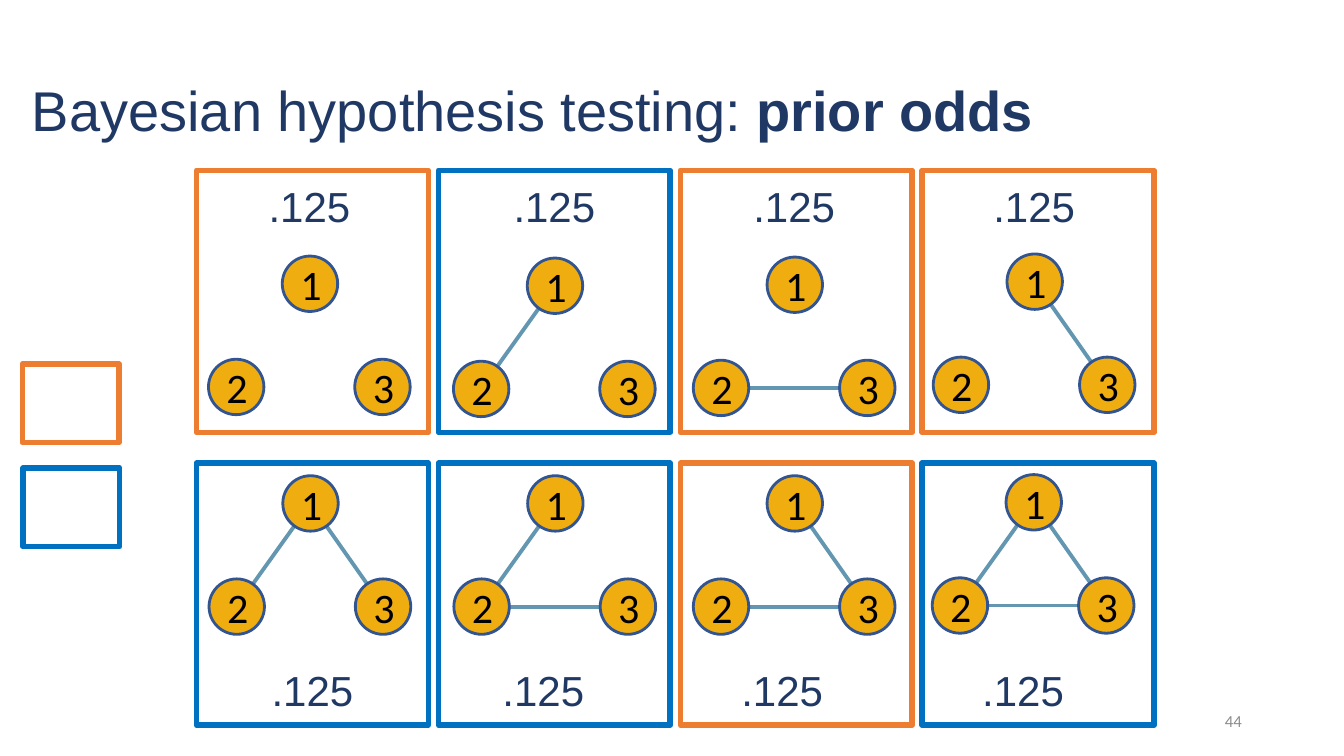
"""Build the slide that shows prior odds over the eight three-node networks."""
from dataclasses import dataclass

from lxml import etree
from pptx import Presentation
from pptx.dml.color import RGBColor
from pptx.enum.shapes import MSO_CONNECTOR, MSO_SHAPE
from pptx.enum.text import MSO_ANCHOR, PP_ALIGN
from pptx.oxml.ns import qn
from pptx.util import Pt

RECT, OVAL = MSO_SHAPE.RECTANGLE, MSO_SHAPE.OVAL
STRAIGHT = MSO_CONNECTOR.STRAIGHT
TOP, MIDDLE = MSO_ANCHOR.TOP, MSO_ANCHOR.MIDDLE
LEFT, CENTER, RIGHT = PP_ALIGN.LEFT, PP_ALIGN.CENTER, PP_ALIGN.RIGHT


@dataclass(frozen=True)
class Theme:
    """Colours, fonts and type sizes."""
    navy: str = "203864"
    orange: str = "ED7D31"
    blue: str = "0070C0"
    node: str = "F0AD0F"
    node_line: str = "325491"
    edge: str = "6397B1"
    black: str = "000000"
    grey: str = "8C8C8C"
    heading_font: str = "Arial"
    body_font: str = "Calibri"
    title: int = 40
    value: int = 30
    number: int = 12


THEME = Theme()
NODE_SIZE = 39.6
NODE_OFFSETS = {1: (0, 0), 2: (-52.7, 73.7), 3: (51.8, 73.7)}
PANEL_LEFT, PANEL_STEP = 140.4, 172.8
PANEL_SIZE = (165.6, 187.2)
LEGEND_SIZE = (69.1, 56.2)
ROWS = [
    (121.7, 125.3, [
        (THEME.orange, (201.6, 182.9), 184.3, []),
        (THEME.blue, (376.6, 184.3), 359.3, [(1, 2)]),
        (THEME.orange, (547.9, 183.6), 530.6, [(2, 3)]),
        (THEME.orange, (719.3, 181.4), 702, [(1, 3)]),
    ]),
    (330.8, 470.9, [
        (THEME.blue, (202, 339.8), 186.5, [(1, 2), (1, 3)]),
        (THEME.blue, (376.9, 339.8), 351.4, [(1, 2), (2, 3)]),
        (THEME.orange, (547.9, 339.8), 522, [(1, 3), (2, 3)]),
        (THEME.blue, (718.6, 339), 694.1, [(1, 2), (1, 3), (2, 3)]),
    ]),
]


def rgb(color):
    """Turn a hex string into a colour."""
    return RGBColor.from_string(color)


def style(p, size, font, color, align):
    """Format a paragraph and all its runs."""
    p.alignment = align
    for r in p.runs:
        r.font.size = Pt(size)
        r.font.name = font
        r.font.color.rgb = rgb(color)


def add_text(s, box, text, size, font, color, align, anchor=MIDDLE, wrap=True):
    """Add a text box and return its paragraph."""
    tf = s.shapes.add_textbox(*map(Pt, box)).text_frame
    tf.word_wrap = wrap
    tf.vertical_anchor = anchor
    tf.text = text
    p = tf.paragraphs[0]
    style(p, size, font, color, align)
    return p


def add_frame(s, left, top, size, color):
    """Add an unfilled outlined rectangle."""
    sp = s.shapes.add_shape(RECT, Pt(left), Pt(top), *map(Pt, size))
    sp.shadow.inherit = False
    sp.fill.background()
    sp.line.color.rgb = rgb(color)
    sp.line.width = Pt(4)


def add_node(s, left, top, number):
    """Add a numbered network node."""
    sp = s.shapes.add_shape(OVAL, Pt(left), Pt(top), Pt(NODE_SIZE), Pt(NODE_SIZE))
    sp.shadow.inherit = False
    sp.fill.solid()
    sp.fill.fore_color.rgb = rgb(THEME.node)
    sp.line.color.rgb = rgb(THEME.node_line)
    sp.line.width = Pt(2)
    tf = sp.text_frame
    tf.vertical_anchor = MIDDLE
    tf.text = str(number)
    style(tf.paragraphs[0], THEME.value, THEME.body_font, THEME.black, CENTER)


def add_edge(s, start, end):
    """Add a line between the centres of two nodes."""
    ends = [Pt(v + NODE_SIZE / 2) for v in (*start, *end)]
    line = s.shapes.add_connector(STRAIGHT, *ends)
    line.line.color.rgb = rgb(THEME.edge)
    line.line.width = Pt(2.75)
    etree.SubElement(line._element.spPr, qn("a:effectLst"))


def add_network(s, origin, edges):
    """Add three nodes, with the edges behind them."""
    places = {n: (origin[0] + dx, origin[1] + dy)
              for n, (dx, dy) in NODE_OFFSETS.items()}
    for a, b in edges:
        add_edge(s, places[a], places[b])
    for number, (left, top) in places.items():
        add_node(s, left, top, number)


def add_title(s):
    """Add the heading with its bold ending."""
    p = add_text(s, (15.8, 28.8, 878.4, 104.4), "Bayesian hypothesis testing: ",
                 THEME.title, THEME.heading_font, THEME.navy, LEFT)
    p.line_spacing = 0.9
    r = p.add_run()
    r.text = "prior odds"
    r.font.bold = True
    style(p, THEME.title, THEME.heading_font, THEME.navy, LEFT)


def main():
    """Build and save the slide."""
    prs = Presentation()
    prs.slide_width, prs.slide_height = Pt(960), Pt(540)
    s = prs.slides.add_slide(prs.slide_layouts[6])
    add_title(s)
    for panel_top, value_top, panels in ROWS:
        for col, (color, origin, value_left, edges) in enumerate(panels):
            add_network(s, origin, edges)
            add_text(s, (value_left, value_top, 73.4, 44), ".125", THEME.value,
                     THEME.heading_font, THEME.navy, CENTER, TOP, False)
            add_frame(s, PANEL_LEFT + col * PANEL_STEP, panel_top, PANEL_SIZE, color)
    add_frame(s, 16, 260, LEGEND_SIZE, THEME.orange)
    add_frame(s, 16.4, 334.3, LEGEND_SIZE, THEME.blue)
    add_text(s, (678.2, 500.4, 216, 28.8), "44", THEME.number,
             THEME.body_font, THEME.grey, RIGHT)
    prs.save("out.pptx")


if __name__ == "__main__":
    main()
